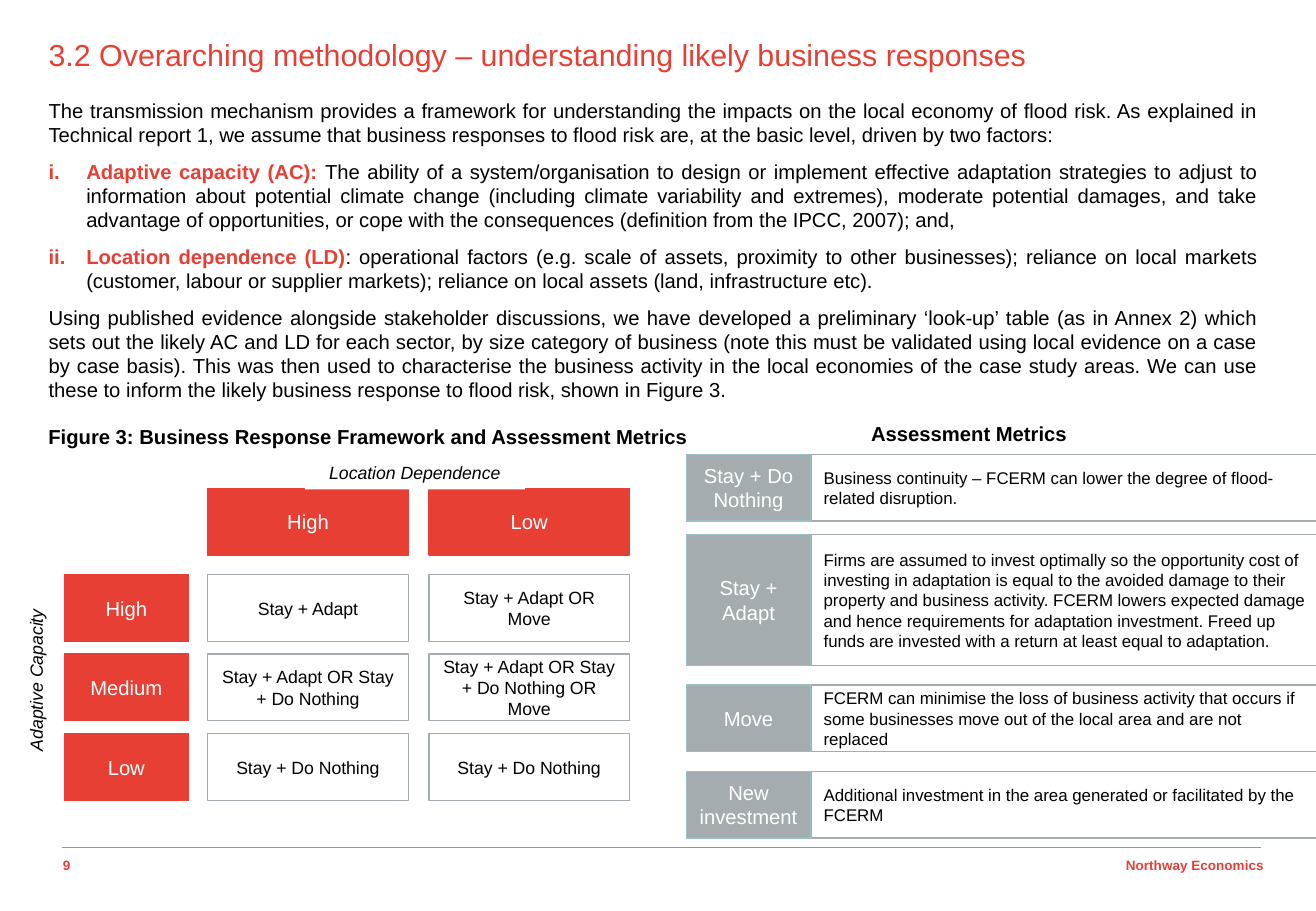
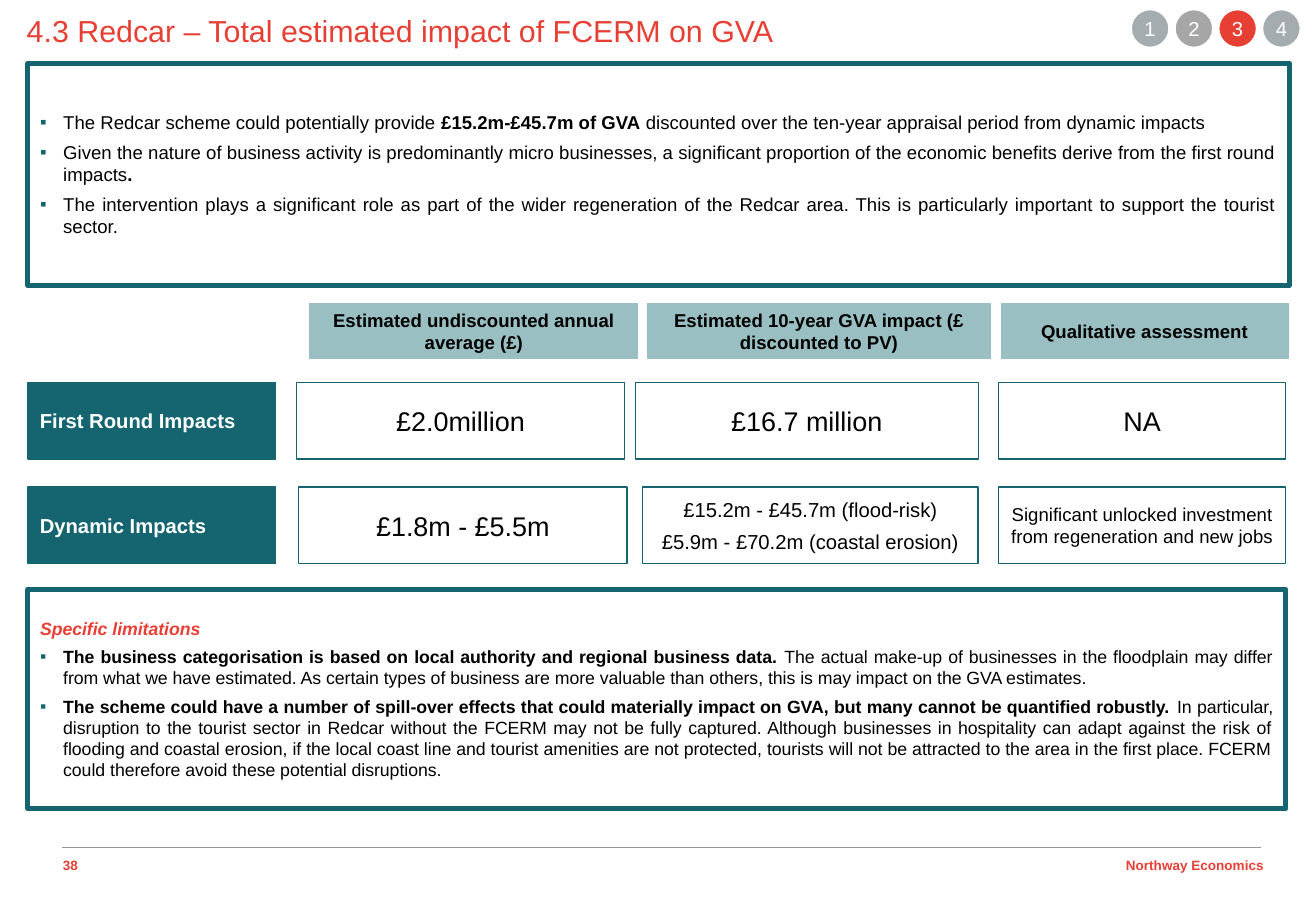
from dataclasses import dataclass
from lxml import etree
from pptx import Presentation
from pptx.dml.color import RGBColor
from pptx.enum.shapes import MSO_CONNECTOR, MSO_SHAPE
from pptx.enum.text import MSO_ANCHOR, MSO_AUTO_SIZE, PP_ALIGN
from pptx.oxml.ns import qn
from pptx.util import Inches, Pt

RECT, OVAL = MSO_SHAPE.RECTANGLE, MSO_SHAPE.OVAL
LEFT, MID, RIGHT, JUST = PP_ALIGN.LEFT, PP_ALIGN.CENTER, PP_ALIGN.RIGHT, PP_ALIGN.JUSTIFY
TOP, CORE = MSO_ANCHOR.TOP, MSO_ANCHOR.MIDDLE


@dataclass(frozen=True)
class Theme:
    font: str = "Arial"
    red: str = "E83F35"
    teal: str = "156570"
    mist: str = "99BFC2"
    grey: str = "A5ACAF"
    ash: str = "A6A6A6"
    rule: str = "969696"
    white: str = "FFFFFF"
    black: str = "000000"
    head: float = 18
    big: float = 16
    body: float = 12
    mid: float = 11
    note: float = 10.5
    small: float = 10
    foot: float = 8
    thin: float = 0.75
    thick: float = 3


T = Theme()
WIDE, HIGH = 10.83, 7.5


def write(shape, paras, size, color=T.black, align=MID, anchor=CORE,
          gap=(0, 0), hang=0, side=0.1):
    """Paragraphs are a string or (mark, runs); a run is (text, style, color)."""
    frame = shape.text_frame
    frame.word_wrap, frame.auto_size = True, MSO_AUTO_SIZE.NONE
    frame.vertical_anchor = anchor
    frame.margin_left = frame.margin_right = Inches(side)
    frame.margin_top = frame.margin_bottom = Inches(0.05)
    for i, para in enumerate(paras):
        mark, runs = ("", [(para, "", color)]) if isinstance(para, str) else para
        par = frame.add_paragraph() if i else frame.paragraphs[0]
        par.alignment = align
        props = par._p.get_or_add_pPr()
        inset = Inches(hang) if mark else 0
        props.set("marL", str(inset))
        props.set("indent", str(-inset))
        if mark == "i.":
            tint = etree.SubElement(props, qn("a:buClr"))
            etree.SubElement(tint, qn("a:srgbClr"), val=T.red)
            etree.SubElement(props, qn("a:buFont"), typeface=T.font)
            etree.SubElement(props, qn("a:buAutoNum"), type="romanLcPeriod")
        elif mark:
            tint = etree.SubElement(props, qn("a:buClr"))
            etree.SubElement(tint, qn("a:srgbClr"), val=T.teal)
            etree.SubElement(props, qn("a:buFont"), typeface=T.font)
            etree.SubElement(props, qn("a:buChar"), char=mark)
        else:
            etree.SubElement(props, qn("a:buNone"))
        par.space_before = Pt(size * gap[0] if i else 0)
        par.space_after = Pt(size * gap[1])
        for text, style, tone in runs:
            run = par.add_run()
            run.text = text
            font = run.font
            font.name, font.size = T.font, Pt(size)
            font.bold, font.italic = "b" in style, "i" in style
            font.color.rgb = RGBColor.from_string(tone)


def box(slide, at, fill=None, line=None, kind=RECT, weight=T.thin, holder=None):
    """A plain shape, or a placeholder moved and painted the same way."""
    place = [Inches(n) for n in at]
    shape = holder
    if holder is None:
        shape = slide.shapes.add_shape(kind, *place)
        shape.shadow.inherit = False
    else:
        shape.left, shape.top, shape.width, shape.height = place
    if fill:
        shape.fill.solid()
        shape.fill.fore_color.rgb = RGBColor.from_string(fill)
    else:
        shape.fill.background()
    if line:
        shape.line.color.rgb = RGBColor.from_string(line)
        shape.line.width = Pt(weight)
    else:
        shape.line.fill.background()
    return shape


deck = Presentation()
deck.slide_width, deck.slide_height = Inches(WIDE), Inches(HIGH)

# Shared title and footer: layout, page number, title, title corner and width
pages = [
    (1, "9", "3.2 Overarching methodology – understanding likely business responses",
     (0.3, 0.25, 10.08)),
    (3, "38", "4.3 Redcar – Total estimated impact of FCERM on GVA", (0.12, 0.05, 10.69)),
]
for layout, page, title, spot in pages:
    slide = deck.slides.add_slide(deck.slide_layouts[layout])
    head = box(slide, (*spot, 0.5), holder=slide.shapes.title)
    write(head, [title], T.head, T.red, LEFT, TOP)
    rule = slide.shapes.add_connector(
        MSO_CONNECTOR.STRAIGHT, Inches(0.51), Inches(6.98), Inches(10.38), Inches(6.98))
    rule.line.color.rgb = RGBColor.from_string(T.rule)
    rule.line.width = Pt(T.thin)
    etree.SubElement(rule._element.spPr, qn("a:effectLst"))
    for text, left, width, align in [(page, 0.42, 0.37, LEFT),
                                     ("Northway Economics", 7.9, 2.6, RIGHT)]:
        foot = slide.shapes.add_textbox(
            Inches(left), Inches(7.01), Inches(width), Inches(0.23))
        write(foot, [("", [(text, "b", T.red)])], T.foot, align=align, anchor=TOP)

first, second = deck.slides

# Slide 1: introduction
body = box(first, (0.3, 0.76, 10.16, 2.66), holder=first.placeholders[1])
write(body, [
    "The transmission mechanism provides a framework for understanding the impacts on the "
    "local economy of flood risk. As explained in Technical report 1, we assume that business "
    "responses to flood risk are, at the basic level, driven by two factors:",
    ("i.", [
        ("Adaptive capacity (AC): ", "b", T.red),
        ("The ability of a system/organisation to design or implement effective adaptation "
         "strategies to adjust to information about potential climate change (including climate "
         "variability and extremes), moderate potential damages, and take advantage of "
         "opportunities, or cope with the consequences (definition from the IPCC, 2007); and,",
         "", T.black)]),
    ("i.", [
        ("Location dependence (LD)", "b", T.red),
        (": operational factors (e.g. scale of assets, proximity to other businesses); reliance "
         "on local markets (customer, labour or supplier markets); reliance on local assets "
         "(land, infrastructure etc).", "", T.black)]),
    "Using published evidence alongside stakeholder discussions, we have developed a "
    "preliminary ‘look-up’ table (as in Annex 2) which sets out the likely AC and LD for each "
    "sector, by size category of business (note this must be validated using local evidence on "
    "a case by case basis). This was then used to characterise the business activity in the "
    "local economies of the case study areas. We can use these to inform the likely business "
    "response to flood risk, shown in Figure 3.",
], T.body, align=JUST, anchor=TOP, gap=(0.4, 0.2), hang=0.31)

# Slide 1: figure headings
for text, at, align in [
    ("Figure 3: Business Response Framework and Assessment Metrics",
     (0.3, 3.44, 5.67, 0.3), JUST),
    ("Assessment Metrics", (5.64, 3.42, 4.67, 0.3), MID),
]:
    label = first.shapes.add_textbox(*[Inches(n) for n in at])
    write(label, [("", [(text, "b", T.black)])], T.body, align=align, anchor=TOP)

# Slide 1: assessment metrics, one row each
tall = 0.55
metrics = [
    (3.74, tall, "Stay + Do Nothing",
     "Business continuity – FCERM can lower the degree of flood-related disruption."),
    (4.4, 1.08, "Stay + Adapt",
     "Firms are assumed to invest optimally so the opportunity cost of investing in adaptation "
     "is equal to the avoided damage to their property and business activity. FCERM lowers "
     "expected damage and hence requirements for adaptation investment. Freed up funds are "
     "invested with a return at least equal to adaptation."),
    (5.64, tall, "Move",
     "FCERM can minimise the loss of business activity that occurs if some businesses move out "
     "of the local area and are not replaced"),
    (6.35, tall, "New investment",
     "Additional investment in the area generated or facilitated by the FCERM"),
]
for top, height, name, text in metrics:
    write(box(first, (5.65, top, 1.02, height), T.grey, T.mist), [name], T.body, T.white)
    write(box(first, (6.68, top, 4.16, height), T.white, T.grey), [text], T.small, align=LEFT)

# Slide 1: response matrix
cols = [1.71 + 1.82 * i for i in range(2)]
rows = [4.73 + 0.655 * i for i in range(3)]
span = 1.65
for left, name in zip(cols, ["High", "Low"]):
    write(box(first, (left, 4.02, span, tall), T.red, T.red), [name], T.body, T.white)
matrix = [
    ("High", "Stay + Adapt", "Stay + Adapt OR Move"),
    ("Medium", "Stay + Adapt OR Stay + Do Nothing", "Stay + Adapt OR Stay + Do Nothing OR Move"),
    ("Low", "Stay + Do Nothing", "Stay + Do Nothing"),
]
for top, (name, *cells) in zip(rows, matrix):
    write(box(first, (0.53, top, 1.02, tall), T.red, T.red), [name], T.body, T.white)
    for left, text in zip(cols, cells):
        write(box(first, (left, top, span, tall), T.white, T.grey), [text], T.note)
for text, left, top, turn in [("Location Dependence", 2.51, 3.75, 0),
                              ("Adaptive Capacity", -0.61, 5.46, 270)]:
    axis = box(first, (left, top, 1.81, 0.28), T.white)
    axis.rotation = turn
    write(axis, [("", [(text, "i", T.black)])], T.note)

# Slide 2: framed lists
even = (0.2, 0.2)
lists = [
    (1, (0.23, 0.52, 10.38, 1.83), T.mid, [
        ("▪", [("The Redcar scheme could potentially provide ", "", T.black),
               ("£15.2m-£45.7m of GVA", "b", T.black),
               (" discounted over the ten-year appraisal period from dynamic impacts",
                "", T.black)]),
        ("▪", [("Given the nature of business activity is predominantly micro businesses, a "
                "significant proportion of the economic benefits derive from the first round "
                "impacts", "", T.black),
               (".", "b", T.black)]),
        ("▪", [("The intervention plays a significant role as part of the wider regeneration of "
                "the Redcar area. This is particularly important to support the tourist sector.",
                "", T.black)]),
    ]),
    (2, (0.23, 4.85, 10.35, 1.81), T.note, [
        ("", [("Specific limitations", "bi", T.red)]),
        ("▪", [("The business categorisation is based on local authority and regional business "
                "data. ", "b", T.black),
               ("The actual make-up of businesses in the floodplain may differ from what we have "
                "estimated. As certain types of business are more valuable than others, this is "
                "may impact on the GVA estimates.", "", T.black)]),
        ("▪", [("The scheme could have a number of spill-over effects that could materially "
                "impact on GVA, but many cannot be quantified robustly. ", "b", T.black),
               ("In particular, disruption to the tourist sector in Redcar without the FCERM may "
                "not be fully captured. Although businesses in hospitality can adapt against the "
                "risk of flooding and coastal erosion, if the local coast line and tourist "
                "amenities are not protected, tourists will not be attracted to the area in the "
                "first place. FCERM could therefore avoid these potential disruptions.",
                "", T.black)]),
    ]),
]
for slot, at, size, paras in lists:
    panel = box(second, at, T.white, T.teal, weight=T.thick, holder=second.placeholders[slot])
    write(panel, paras, size, align=JUST, gap=even, hang=0.19)

# Slide 2: impact grid
for left, width, text in [
    (2.55, 2.7, "Estimated undiscounted annual average (£)"),
    (5.33, 2.82, "Estimated 10-year GVA impact (£ discounted to PV)"),
    (8.24, 2.36, "Qualitative assessment"),
]:
    write(box(second, (left, 2.5, width, 0.45), T.mist, T.mist),
          [("", [(text, "b", T.black)])], T.mid)
impacts = [
    (3.15, "First Round Impacts", [
        (2.44, 2.7, T.big, ["£2.0million"]),
        (5.23, 2.82, T.big, ["£16.7 million"]),
        (8.22, 2.36, T.big, ["NA"])]),
    (4.01, "Dynamic Impacts", [
        (2.46, 2.7, T.big, ["£1.8m - £5.5m"]),
        (5.29, 2.76, T.body, ["£15.2m - £45.7m (flood-risk)", "£5.9m - £70.2m (coastal erosion)"]),
        (8.22, 2.36, T.mid, ["Significant unlocked investment from regeneration and new jobs"])]),
]
for top, name, cells in impacts:
    write(box(second, (0.23, top, 2.04, 0.63), T.teal, T.teal),
          [("", [(name, "b", T.white)])], T.body, align=LEFT)
    for left, width, size, paras in cells:
        write(box(second, (left, top, width, 0.63), T.white, T.teal), paras, size, gap=even)

# Slide 2: step markers
for i, tone in enumerate([T.grey, T.ash, T.red, T.grey]):
    dot = box(second, (9.31 + 0.36 * i, 0.08, 0.31, 0.31), tone, T.white, OVAL)
    write(dot, [str(i + 1)], T.body, T.white, side=0)

deck.save("out.pptx")
